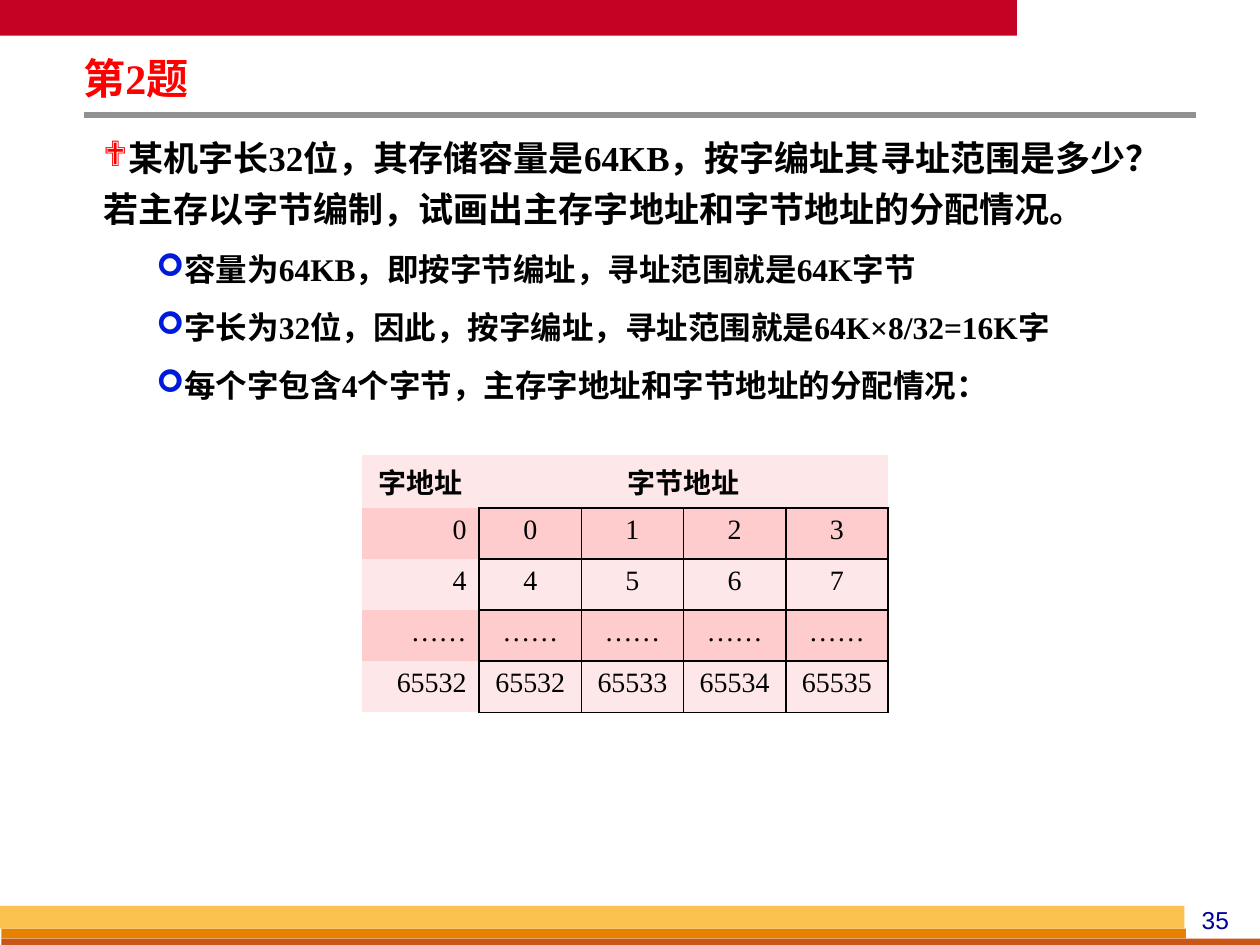
from lxml import etree
from pptx import Presentation
from pptx import util as u
from pptx.dml.color import RGBColor
from pptx.enum import shapes, text
from pptx.oxml import ns

COLORS = {
    "crimson": "C30224", "grey": "919191", "amber": "FCC24F", "orange": "E88000",
    "rust": "C95616", "navy": "000099", "red": "FF0000", "blue": "001ADC",
    "black": "000000", "pale": "FEE7E8", "pink": "FECCCD",
}
SERIF = "Times New Roman"
QUESTION = "某机字长32位，其存储容量是64KB，按字编址其寻址范围是多少？若主存以字节编制，试画出主存字地址和字节地址的分配情况。"
ANSWERS = [
    "容量为64KB，即按字节编址，寻址范围就是64K字节",
    "字长为32位，因此，按字编址，寻址范围就是64K×8/32=16K字",
    "每个字包含4个字节，主存字地址和字节地址的分配情况：",
]
ADDRESSES = [
    ["0", "0", "1", "2", "3"],
    ["4", "4", "5", "6", "7"],
    ["……"] * 5,
    ["65532", "65532", "65533", "65534", "65535"],
]


def color(name):
    return RGBColor.from_string(COLORS[name])


def add_child(parent, tag, **attributes):
    return etree.SubElement(parent, ns.qn(tag), attributes)


def write(para, words, size=16, font=SERIF, ink="black", bold=False,
          align=text.PP_ALIGN.LEFT, spacing=None, gap=0):
    span = para.add_run()
    span.text = words
    span.font.size = u.Pt(size)
    span.font.name = font
    span.font.bold = bold
    span.font.color.rgb = color(ink)
    para.alignment = align
    para.line_spacing = spacing
    para.space_before = para.space_after = u.Pt(gap)


def set_frame(box, left, top, width, height, anchor):
    box.left, box.top, box.width, box.height = map(u.Cm, (left, top, width, height))
    frame = box.text_frame
    frame.word_wrap = True
    frame.auto_size = text.MSO_AUTO_SIZE.NONE
    frame.vertical_anchor = anchor
    frame.margin_left = frame.margin_right = u.Cm(0.18)
    frame.margin_top = frame.margin_bottom = u.Cm(0.08)
    return frame


def add_bar(page, left, top, width, height, fill):
    bar = page.shapes.add_shape(shapes.MSO_SHAPE.RECTANGLE,
                                *map(u.Cm, (left, top, width, height)))
    bar.shadow.inherit = False
    bar.fill.solid()
    bar.fill.fore_color.rgb = color(fill)
    bar.line.fill.background()


def add_header(page, left, top, width, height):
    add_bar(page, 0, 0, 20.5, 0.72, "crimson")
    rule_y = u.Cm(top + height + 0.16)
    rule = page.shapes.add_connector(shapes.MSO_CONNECTOR.STRAIGHT,
                                     u.Cm(left + 0.2), rule_y, u.Cm(24.1), rule_y)
    rule.line.color.rgb = color("grey")
    rule.line.width = u.Pt(3)
    add_child(rule._element.spPr, "a:effectLst")
    frame = set_frame(page.shapes.title, left, top, width, height, text.MSO_ANCHOR.MIDDLE)
    write(frame.paragraphs[0], "第2题", size=24, ink="red", bold=True, spacing=0.87)


def add_footer(page, top):
    add_bar(page, 0.03, top + 0.46, 23.88, 0.2, "orange")
    add_bar(page, 0.03, top + 0.66, 25.37, 0.13, "rust")
    add_bar(page, 0, top, 23.88, 0.46, "amber")
    number = page.shapes.add_textbox(0, 0, 0, 0)
    frame = set_frame(number, 23.7, top - 0.13, 1.6, 0.84, text.MSO_ANCHOR.MIDDLE)
    write(frame.paragraphs[0], "35", size=14, font="Arial", ink="navy",
          align=text.PP_ALIGN.CENTER)


def set_bullet(para, mark, ink, indent):
    props = para._p.get_or_add_pPr()
    props.set("marL", str(u.Cm(indent)))
    props.set("indent", "0")
    add_child(add_child(props, "a:buClr"), "a:srgbClr", val=COLORS[ink])
    add_child(props, "a:buFont", typeface="Wingdings")
    add_child(props, "a:buChar", char=mark)


def add_body(page, left, top, width, height):
    frame = set_frame(page.placeholders[1], left, top, width, height, text.MSO_ANCHOR.TOP)
    para = frame.paragraphs[0]
    write(para, QUESTION, size=20, bold=True, spacing=1.2, gap=4)
    set_bullet(para, "❖", "red", 0)
    for answer in ANSWERS:
        para = frame.add_paragraph()
        para.level = 1
        write(para, answer, size=18, bold=True, spacing=1.2, gap=3.6)
        set_bullet(para, "➢", "blue", 1.07)


def format_cell(cell, fill, sides):
    props = cell._tc.get_or_add_tcPr()
    for side in "LRTB":
        line = add_child(props, f"a:ln{side}", w=str(u.Pt(1)))
        if side in sides:
            add_child(add_child(line, "a:solidFill"), "a:srgbClr", val=COLORS["black"])
        else:
            add_child(line, "a:noFill")
    cell.fill.solid()
    cell.fill.fore_color.rgb = color(fill)


def add_address_table(page, left, top, width, height):
    rows, columns, first_width = len(ADDRESSES) + 1, 5, 2.36
    table = page.shapes.add_table(rows, columns,
                                  *map(u.Cm, (left, top, width, height))).table
    table.first_row = table.horz_banding = False
    for index, column in enumerate(table.columns):
        column.width = u.Cm((width - first_width) / (columns - 1) if index else first_width)
    for row in range(rows):
        for index in range(columns):
            if row == 0:
                sides = "B" if index else ""
            else:
                sides = "LRTB" if index else "R"
            cell = table.cell(row, index)
            format_cell(cell, "pink" if row % 2 else "pale", sides)
            if row:
                align = text.PP_ALIGN.CENTER if index else text.PP_ALIGN.RIGHT
                write(cell.text_frame.paragraphs[0], ADDRESSES[row - 1][index], align=align)
    table.cell(0, 1).merge(table.cell(0, columns - 1))
    for index, heading in enumerate(["字地址", "字节地址"]):
        write(table.cell(0, index).text_frame.paragraphs[0], heading, bold=True,
              align=text.PP_ALIGN.CENTER)


def main():
    deck = Presentation()
    deck.slide_width, deck.slide_height = u.Cm(25.4), u.Cm(19.05)
    page = deck.slides.add_slide(deck.slide_layouts[1])
    add_header(page, 1.5, 1.12, 14.6, 1.04)
    add_footer(page, 18.26)
    add_body(page, 1.9, 2.51, 22, 5.9)
    add_address_table(page, 7.3, 9.17, 10.6, 5.15)
    deck.save("out.pptx")


if __name__ == "__main__":
    main()
